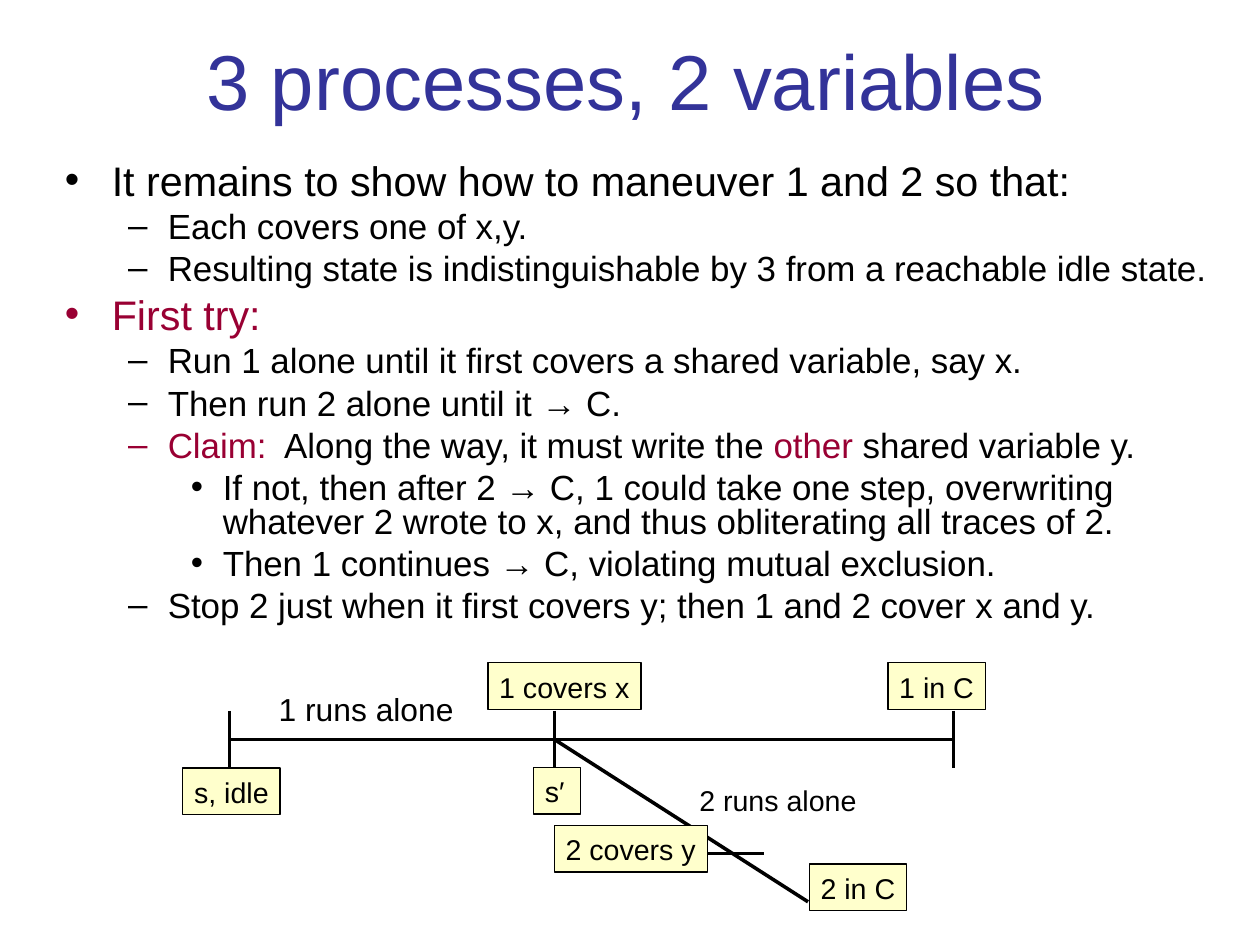
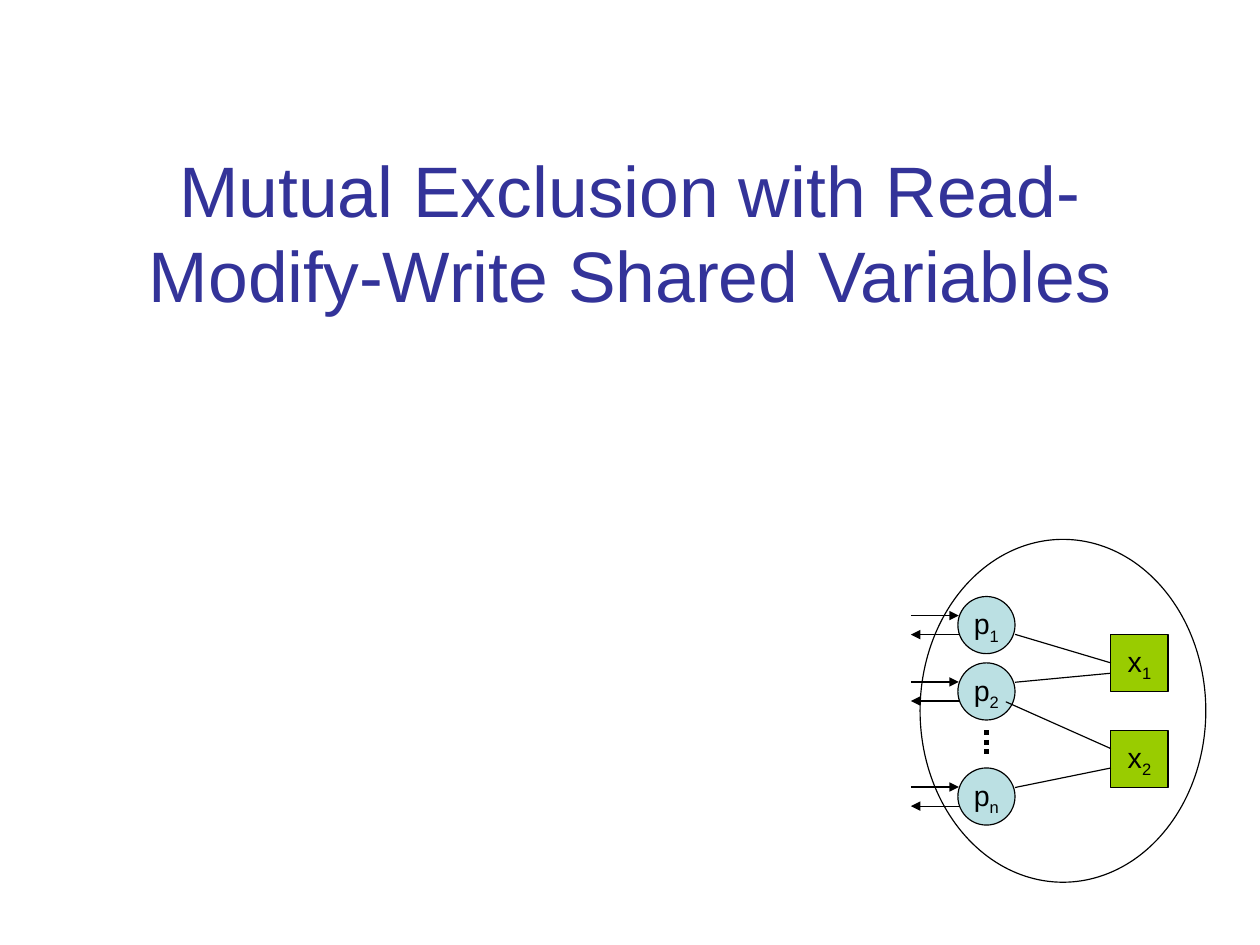
from pptx import Presentation
from pptx.dml.color import RGBColor as RGB
from pptx.enum.dml import MSO_LINE as Dash
from pptx.enum.shapes import MSO_CONNECTOR as Conn, MSO_SHAPE as Kind
from pptx.enum.text import MSO_ANCHOR as Anchor, MSO_AUTO_SIZE as Fit, PP_ALIGN as Align
from pptx.oxml.ns import qn
from pptx.util import Pt
from lxml.etree import SubElement as Sub

BLACK = RGB(0x00, 0x00, 0x00)
BLUE = RGB(0x33, 0x33, 0x99)
RED = RGB(0x99, 0x00, 0x33)
CREAM = RGB(0xFF, 0xFF, 0xCC)
AQUA = RGB(0xBB, 0xE0, 0xE3)
GREEN = RGB(0x99, 0xCC, 0x00)
FONT = "Arial"
INSET = dict(margin_left=Pt(7.8), margin_right=Pt(7.8),
             margin_top=Pt(4.1), margin_bottom=Pt(4.1), auto_size=Fit.NONE)

STEPS = [
    (0, [("It remains to show how to maneuver 1 and 2 so that:", BLACK)]),
    (1, [("Each covers one of x,y.", BLACK)]),
    (1, [("Resulting state is indistinguishable by 3 from a reachable idle state.", BLACK)]),
    (0, [("First try:", RED)]),
    (1, [("Run 1 alone until it first covers a shared variable, say x.", BLACK)]),
    (1, [("Then run 2 alone until it → C.", BLACK)]),
    (1, [("Claim:", RED), ("  Along the way, it must write the ", BLACK),
         ("other", RED), (" shared variable y.", BLACK)]),
    (2, [("If not, then after 2 → C, 1 could take one step, overwriting "
          "whatever 2 wrote to x, and thus obliterating all traces of 2.", BLACK)]),
    (2, [("Then 1 continues → C, violating mutual exclusion.", BLACK)]),
    (1, [("Stop 2 just when it first covers y; then 1 and 2 cover x and y.", BLACK)]),
]
LEVELS = [dict(size=26, before=6.5, left=29.5, hang=29.5),
          dict(size=22, before=5.5, left=64.8, hang=25),
          dict(size=22, before=5.5, left=99.4, hang=20)]

START, FORK, END = 144.7, 349.2, 600.5
AXIS, HALF = 465.8, 18
TAGS = [
    ("s, idle", 115.2, AXIS + HALF, 61.2),
    ("1 in C", 559.4, 417.6, 61.2),
    ("1 covers x", 307.4, 417.6, 96.5),
    ("s′", 336.2, 483.3, 29.5),
    ("2 in C", 509.8, 544.3, 61.2),
    ("2 covers y", FORK, 519.8, 96.5),
]
NOTES = [("1 runs alone", 168.5, 429.8, 124.6, 32.4, 20),
         ("2 runs alone", 433.4, 488.9, 113.8, 29.5, 18)]

NODE, LEFT, RIGHT = 36, 603.4, 699.8
PROCS = [("1", 375.8), ("2", 417.6), ("n", 483.8)]
VARS = [("1", 399.6), ("2", 460.1)]
LINKS = [(639.4, 399.6, 417.6), (639.4, 429.8, 424.1),
         (633.6, 442.1, 471.6), (639.4, 496.1, 483.8)]


def apply(thing, vals):
    for name, val in vals.items():
        setattr(thing, name, val)


def write(par, text, size, color=BLACK, base=0):
    run = par.add_run()
    run.text = text
    apply(run.font, dict(name=FONT, size=Pt(size)))
    run.font.color.rgb = color
    if base:
        run.font._element.set("baseline", str(base * 1000))


def place(shape, x, y, w, h):
    apply(shape, dict(left=Pt(x), top=Pt(y), width=Pt(w), height=Pt(h)))


def title(slide, text, size, area):
    shape = slide.shapes.title
    place(shape, *area)
    apply(shape.text_frame, dict(INSET, vertical_anchor=Anchor.MIDDLE))
    par = shape.text_frame.paragraphs[0]
    par.alignment = Align.CENTER
    write(par, text, size, BLUE)


def bullets(slide, area):
    shape = slide.placeholders[1]
    place(shape, *area)
    frame = shape.text_frame
    apply(frame, INSET)
    for num, (level, runs) in enumerate(STEPS):
        par = frame.add_paragraph() if num else frame.paragraphs[0]
        look = LEVELS[level]
        apply(par, dict(level=level, line_spacing=0.8, space_before=Pt(look["before"])))
        prop = par._p.get_or_add_pPr()
        prop.set("marL", str(Pt(look["left"])))
        prop.set("indent", str(-Pt(look["hang"])))
        for text, color in runs:
            write(par, text, look["size"], color)


def line(slide, x1, y1, x2, y2, width=0.75, end=None, dash=None):
    conn = slide.shapes.add_connector(Conn.STRAIGHT, Pt(x1), Pt(y1), Pt(x2), Pt(y2))
    conn.line.color.rgb = BLACK
    conn.line.width = Pt(width)
    if dash:
        conn.line.dash_style = dash
    if end:
        Sub(conn.line._get_or_add_ln(), qn("a:" + end)).set("type", "triangle")
    Sub(conn._element.spPr, qn("a:effectLst"))


def block(slide, kind, area, fill=None):
    shape = slide.shapes.add_shape(kind, *map(Pt, area))
    shape.shadow.inherit = False
    if fill is None:
        shape.fill.background()
    else:
        shape.fill.solid()
        shape.fill.fore_color.rgb = fill
    shape.line.color.rgb = BLACK
    shape.line.width = Pt(0.75)
    return shape


def label(shape, text, size=18, sub=None):
    frame = shape.text_frame
    par = frame.paragraphs[0]
    frame.word_wrap = False
    par.line_spacing = 1.04
    write(par, text, size)
    if sub:
        apply(frame, dict(vertical_anchor=Anchor.MIDDLE, auto_size=Fit.NONE))
        par.alignment = Align.CENTER
        write(par, sub, size, base=-25)
    else:
        apply(frame, dict(vertical_anchor=Anchor.TOP, auto_size=Fit.SHAPE_TO_FIT_TEXT))
        par.alignment = Align.LEFT


def runs_slide(deck):
    slide = deck.slides.add_slide(deck.slide_layouts[1])
    title(slide, "3 processes, 2 variables", 49, (36.7, 0, 714.3, 99.4))
    bullets(slide, (33.1, 99.4, 740.9, 311.8))
    for x in (START, FORK, END):
        line(slide, x, AXIS - HALF, x, AXIS + HALF, 2.25)
    line(slide, START, AXIS, END, AXIS, 2.25)
    line(slide, FORK, AXIS, 509, 568.1, 2.25)
    line(slide, 445, 537.8, 481, 537.8, 2.25)
    for text, x, y, w in TAGS:
        label(block(slide, Kind.RECTANGLE, (x, y, w, 29.5), CREAM), text)
    for text, x, y, w, h, size in NOTES:
        label(slide.shapes.add_textbox(Pt(x), Pt(y), Pt(w), Pt(h)), text, size)


def system_slide(deck):
    slide = deck.slides.add_slide(deck.slide_layouts[5])
    title(slide, "Mutual Exclusion with Read-Modify-Write Shared Variables", 45,
          (39.6, 23.8, 714.3, 244.1))
    block(slide, Kind.OVAL, (579.6, 339.8, 180, 216))
    mid = LEFT + NODE / 2
    line(slide, mid, 460.1, mid, 478.1, 3, dash=Dash.ROUND_DOT)
    groups = [("p", Kind.OVAL, LEFT, AQUA, PROCS),
              ("x", Kind.RECTANGLE, RIGHT, GREEN, VARS)]
    for name, kind, x, fill, rows in groups:
        for sub, y in rows:
            label(block(slide, kind, (x, y, NODE, NODE), fill), name, sub=sub)
    for x, y1, y2 in LINKS:
        line(slide, x, y1, RIGHT, y2)
    for _, top in PROCS:
        for step, end in ((12, "tailEnd"), (24, "headEnd")):
            line(slide, 573.8, top + step, 604, top + step, end=end)


def main():
    deck = Presentation()
    apply(deck, dict(slide_width=Pt(793.7), slide_height=Pt(595.3)))
    runs_slide(deck)
    system_slide(deck)
    deck.save("out.pptx")


if __name__ == "__main__":
    main()
